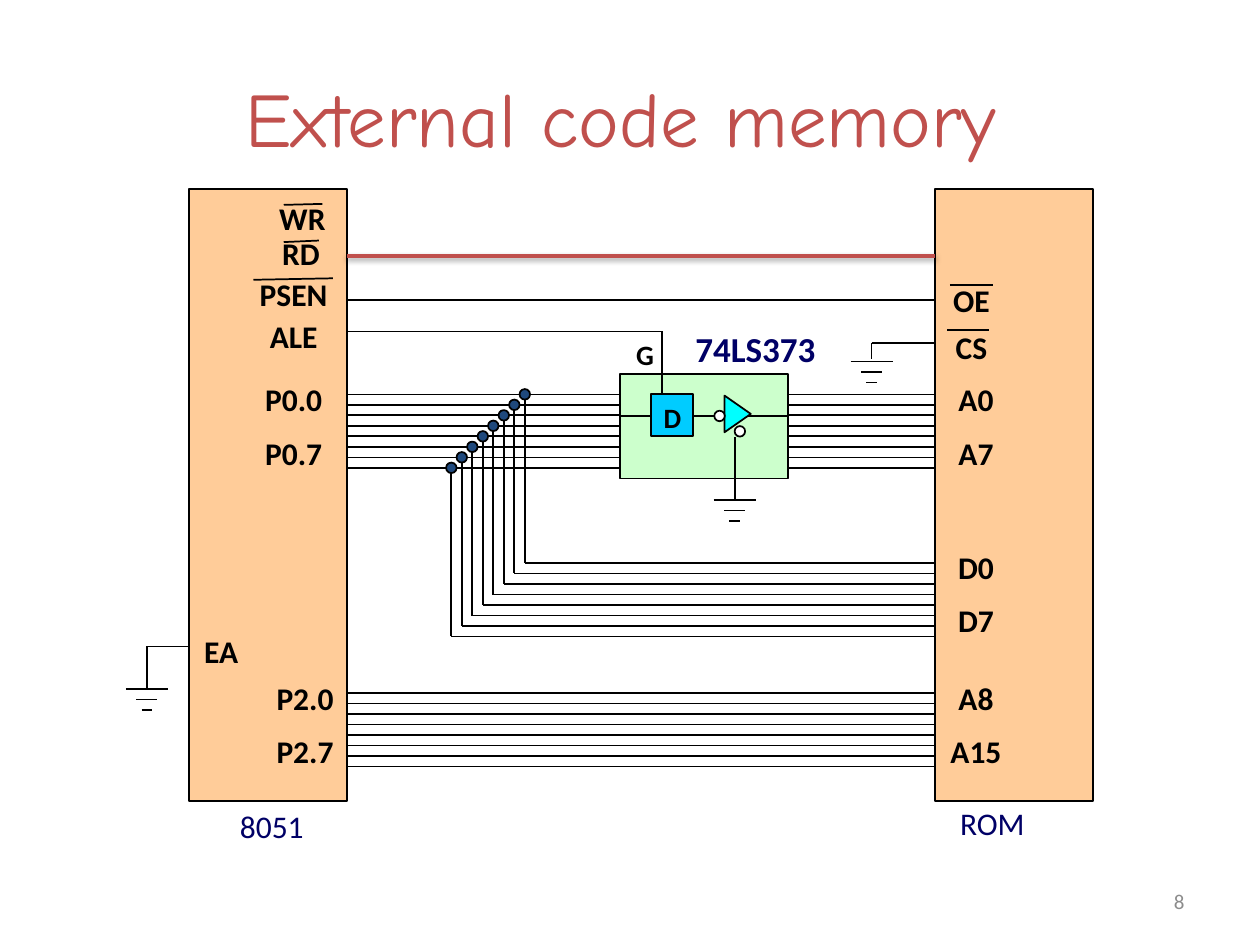
from dataclasses import dataclass
from typing import Any

from lxml.etree import SubElement as Sub
from pptx import Presentation as Deck
from pptx.dml.color import RGBColor as RGB
from pptx.enum.shapes import MSO_CONNECTOR as Link, MSO_SHAPE as Kind
from pptx.enum.text import MSO_ANCHOR as Anchor, PP_ALIGN as Align
from pptx.oxml.ns import qn
from pptx.util import Cm, Pt

STEP = 2.54 / 12
COUNT = 8
BLACK, NAVY, RED, GREY = "000000", "000066", "C0504D", "8C8C8C"
WEST, EAST = 6.99, 18.85
GATE_WEST, GATE_EAST = 12.5, 15.88
PORT_TOP, DATA_TOP, HIGH_TOP = 7.95, 11.35, 13.97
TAP = 10.58


@dataclass
class Block:
    kind: Any
    left: float
    top: float
    width: float
    height: float
    fill: str
    turn: float = 0


@dataclass
class Wire:
    x1: float
    y1: float
    x2: float
    y2: float
    color: str = BLACK
    weight: float = 1
    shade: bool = False


@dataclass
class Label:
    lines: str
    left: float
    top: float
    width: float
    height: float = 1.02
    size: int = 18
    color: str = BLACK
    bold: bool = True
    align: Any = Align.CENTER
    anchor: Any = Anchor.TOP
    face: str = "Calibri"
    wrap: bool = True


def tint(part: Any, code: str) -> None:
    part.rgb = RGB.from_string(code)


def assign(item: Any, values: dict[str, Any]) -> None:
    for key, value in values.items():
        setattr(item, key, value)


def draw_block(slide: Any, block: Block) -> None:
    shape = slide.shapes.add_shape(block.kind, Cm(block.left), Cm(block.top),
                                   Cm(block.width), Cm(block.height))
    shape.shadow.inherit = False
    shape.rotation = block.turn
    shape.fill.solid()
    tint(shape.fill.fore_color, block.fill)
    tint(shape.line.color, BLACK)
    shape.line.width = Pt(1)


def draw_wire(slide: Any, wire: Wire) -> None:
    line = slide.shapes.add_connector(Link.STRAIGHT, Cm(wire.x1), Cm(wire.y1),
                                      Cm(wire.x2), Cm(wire.y2))
    tint(line.line.color, wire.color)
    line.line.width = Pt(wire.weight)
    effect = Sub(line._element.spPr, qn("a:effectLst"))
    if wire.shade:
        shade = Sub(effect, qn("a:outerShdw"), blurRad="40000", dist="20000",
                    dir="5400000", rotWithShape="0")
        Sub(Sub(shade, qn("a:srgbClr"), val=BLACK), qn("a:alpha"), val="38000")


def draw_label(slide: Any, label: Label) -> None:
    box = slide.shapes.add_textbox(Cm(label.left), Cm(label.top),
                                   Cm(label.width), Cm(label.height))
    frame = box.text_frame
    assign(frame, {"text": label.lines, "word_wrap": label.wrap,
                   "vertical_anchor": label.anchor})
    for rank, para in enumerate(frame.paragraphs):
        assign(para, {"alignment": label.align, "space_before": Pt(9 if rank else 0)})
        for run in para.runs:
            assign(run.font, {"name": label.face, "size": Pt(label.size),
                              "bold": label.bold})
            tint(run.font.color, label.color)


def draw_bus(slide: Any, left: float, right: float, top: float, slant: float = 0) -> None:
    for rank in range(COUNT):
        y = top + rank * STEP
        draw_wire(slide, Wire(left - rank * slant, y, right, y))


def draw_taps(slide: Any) -> None:
    for rank in range(COUNT):
        shift = rank * STEP
        x, y = TAP - shift, PORT_TOP + shift
        draw_wire(slide, Wire(x, y, x, DATA_TOP + shift))
        draw_block(slide, Block(Kind.OVAL, x - STEP / 2, y - STEP / 2,
                                STEP, STEP, "1F497D"))


def draw_ground(slide: Any, x: float, y: float) -> None:
    for rank, half in enumerate((2 * STEP, STEP, STEP / 2)):
        level = y + rank * STEP
        draw_wire(slide, Wire(x - half, level, x + half, level))


BLOCKS = [
    Block(Kind.RECTANGLE, 3.81, 3.81, 3.18, 12.34, "FFCC99"),
    Block(Kind.RECTANGLE, GATE_WEST, 7.54, 3.38, 2.11, "CCFFCC"),
    Block(Kind.RECTANGLE, EAST, 3.81, 3.18, 12.34, "FFCC99"),
    Block(Kind.RECTANGLE, 13.13, PORT_TOP, 0.84, 0.84, "00CCFF"),
]
GATES = [
    Block(Kind.ISOSCELES_TRIANGLE, 14.5, 8.08, 0.74, 0.53, "00FFFF", 90),
    Block(Kind.OVAL, 14.81, 8.59, STEP, STEP, "FFFFFF"),
    Block(Kind.OVAL, 14.4, 8.28, STEP, STEP, "FFFFFF"),
]
WIRES = [
    Wire(13.97, 8.38, GATE_EAST, 8.38),
    Wire(GATE_WEST, 8.38, 13.13, 8.38),
    Wire(14.81, 8.81, 14.81, 10.08),
    Wire(WEST, 6.68, 13.34, 6.68),
    Wire(13.34, 6.68, 13.34, PORT_TOP),
    Wire(WEST, 6.05, EAST, 6.05),
    Wire(17.57, 6.91, EAST, 6.91),
    Wire(17.57, 6.91, 17.57, 7.24),
    Wire(2.96, 13.03, 3.81, 13.03),
    Wire(2.96, 13.03, 2.96, 13.89),
    Wire(5.11, 5.64, 6.71, 5.61),
    Wire(5.72, 4.88, 6.43, 4.85),
    Wire(5.72, 4.13, 6.5, 4.11),
    Wire(19.15, 5.74, 20.02, 5.74),
    Wire(19.1, 6.65, 19.94, 6.65),
    Wire(WEST, 5.16, EAST, 5.16, RED, 2, True),
]
BUSES = [
    (GATE_EAST, EAST, PORT_TOP),
    (WEST, GATE_WEST, PORT_TOP),
    (TAP, EAST, DATA_TOP, STEP),
    (WEST, EAST, HIGH_TOP),
]
GROUNDS = [(14.81, 10.08), (2.96, 13.89), (17.57, 7.29)]
LABELS = [
    Label("External code memory", 1.09, 0.76, 22.86, 3.18, 44, RED, False,
          anchor=Anchor.MIDDLE, face="Comic Neue"),
    Label("WR", 5.38, 3.89, 1.6, align=Align.LEFT, wrap=False),
    Label("RD", 5.44, 4.6, 1.42, align=Align.LEFT, wrap=False),
    Label("PSEN", 4.65, 5.41, 2.54),
    Label("ALE", 4.65, 6.27, 2.54),
    Label("P0.0\nP0.7", 4.65, 7.54, 2.54, 2.16),
    Label("EA", 3.61, 12.62, 1.7),
    Label("P2.0\nP2.7", 4.88, 13.56, 2.54, 2.16),
    Label("OE", 18.85, 5.54, 1.47),
    Label("CS", 18.85, 6.48, 1.47),
    Label("A0\nA7", 18.62, 7.54, 2.11, 2.16),
    Label("D0\nD7", 18.62, 10.92, 2.11, 2.16),
    Label("A8\nA15", 18.62, 13.56, 2.11, 2.16),
    Label("G", 12.27, 6.68, 1.47, 0.94, 16),
    Label("D", 13.13, 7.95, 0.84, 0.94, 16),
    Label("74LS373", 13.54, 6.48, 3.38, 1.09, 20, NAVY),
    Label("8051", 4.11, 16.15, 2.74, 1.27, color=NAVY, bold=False),
    Label("ROM", 18.52, 16.08, 2.97, 1.27, color=NAVY, bold=False),
    Label("8", 18.21, 17.65, 5.92, 1.02, 12, GREY, False, Align.RIGHT, Anchor.MIDDLE),
]


def main() -> None:
    deck = Deck()
    assign(deck, {"slide_width": Cm(25.4), "slide_height": Cm(19.05)})
    slide = deck.slides.add_slide(deck.slide_layouts[6])
    for block in BLOCKS:
        draw_block(slide, block)
    for bus in BUSES:
        draw_bus(slide, *bus)
    for wire in WIRES:
        draw_wire(slide, wire)
    for gate in GATES:
        draw_block(slide, gate)
    draw_taps(slide)
    for ground in GROUNDS:
        draw_ground(slide, *ground)
    for label in LABELS:
        draw_label(slide, label)
    deck.save("out.pptx")


if __name__ == "__main__":
    main()
